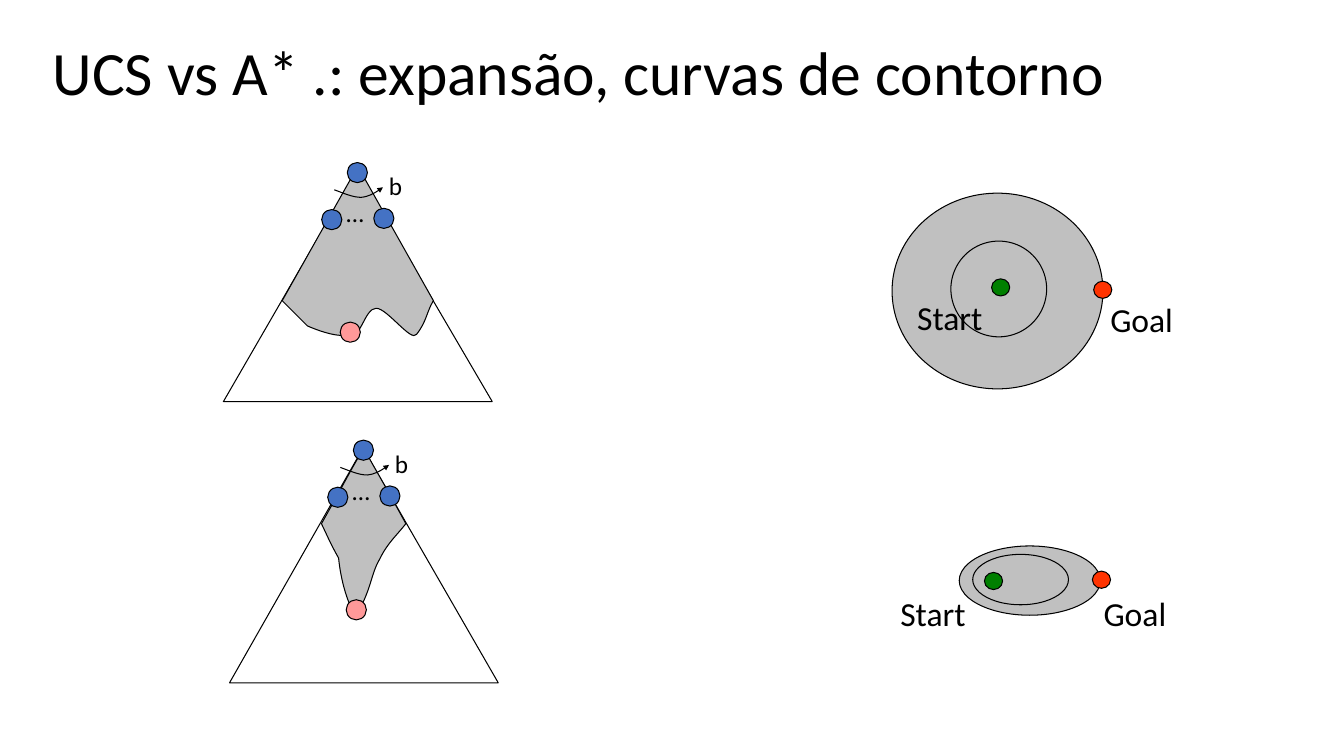
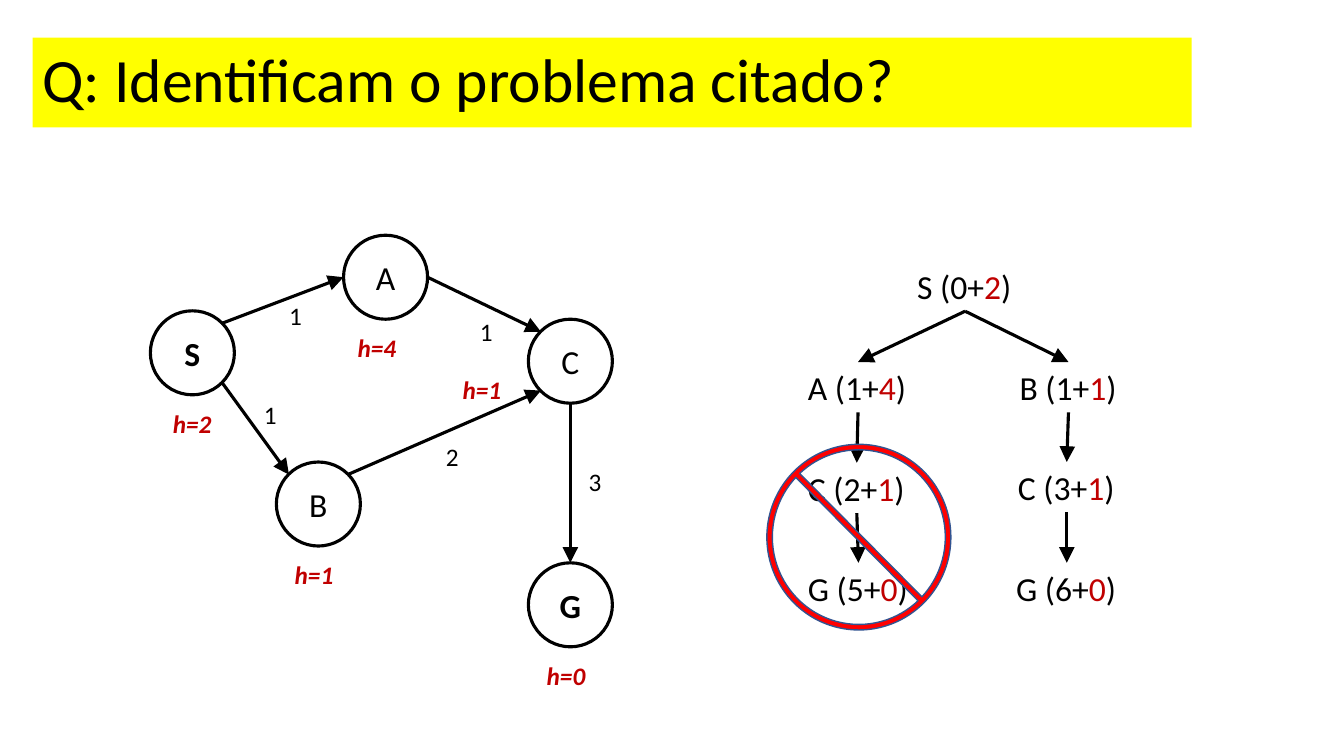
"""Builds two slides: search contours of UCS and A*, and a graph with its search tree."""
from lxml.etree import SubElement
from pptx import Presentation
from pptx.dml.color import RGBColor
from pptx.enum.shapes import MSO_CONNECTOR, MSO_SHAPE as Kind
from pptx.enum.text import MSO_ANCHOR as Anchor, PP_ALIGN as Align
from pptx.oxml.ns import qn
from pptx.util import Emu, Inches, Pt

BLACK = RGBColor(0x00, 0x00, 0x00)
WHITE = RGBColor(0xFF, 0xFF, 0xFF)
GRAY = RGBColor(0xC0, 0xC0, 0xC0)
BLUE = RGBColor(0x44, 0x72, 0xC4)
NAVY = RGBColor(0x32, 0x54, 0x91)
PINK = RGBColor(0xFF, 0x99, 0x99)
GREEN = RGBColor(0x00, 0x80, 0x00)
ORANGE = RGBColor(0xFF, 0x33, 0x00)
RED = RGBColor(0xFF, 0x00, 0x00)
DARK_RED = RGBColor(0xC0, 0x00, 0x00)
YELLOW = RGBColor(0xFF, 0xFF, 0x00)

FONT = "Calibri"
COLUMNS = 160

deck = Presentation()
deck.slide_width, deck.slide_height = Emu(12192000), Inches(7.5)
UNIT = deck.slide_width // COLUMNS
TITLE = {"size": 44, "spacing": 0.9, "anchor": Anchor.MIDDLE}


def paint(shape, fill=None, line=BLACK, width=0.75, arrow=None):
    if hasattr(shape, "fill"):
        if fill is None:
            shape.fill.background()
        else:
            shape.fill.solid()
            shape.fill.fore_color.rgb = fill
    shape.line.color.rgb = line
    shape.line.width = Pt(width)
    properties = shape._element.spPr
    if arrow:
        SubElement(properties.find(qn("a:ln")), qn("a:tailEnd"), type="triangle", w=arrow, len=arrow)
    if hasattr(shape, "shadow"):
        shape.shadow.inherit = False
    else:
        SubElement(properties, qn("a:effectLst"))


def write(page, text, at, kind=None, size=18, color=BLACK, accent="", bold=False, italic=False,
          align=Align.LEFT, anchor=Anchor.TOP, spacing=None, wrap=True, **style):
    place = [Emu(round(UNIT * value)) for value in at]
    if kind is None:
        box = page.shapes.add_textbox(*place)
    else:
        box = page.shapes.add_shape(kind, *place)
        paint(box, **style)
    if not text:
        return box
    frame = box.text_frame
    frame.word_wrap = wrap
    frame.vertical_anchor = anchor
    para = frame.paragraphs[0]
    para.alignment = align
    if spacing:
        para.line_spacing = spacing
    before, middle, after = text.rpartition(accent) if accent else (text, "", "")
    for words, tint in ((before, color), (middle, DARK_RED), (after, color)):
        if words:
            span = para.add_run()
            span.text = words
            span.font.name, span.font.size = FONT, Pt(size)
            span.font.bold, span.font.italic = bold, italic
            span.font.color.rgb = tint
    return box


blank = deck.slide_layouts[6]
page = deck.slides.add_slide(blank)
write(page, "UCS vs A* .: expansão, curvas de contorno", (5.08, 0.3, 138, 17.4), **TITLE)

DOT_WIDTH, DOT_HEIGHT = 2.16, 2.04
contours = [
    ((106.2, 23, 25.1, 23.3), (113.2, 28.7, 11.4, 11.4),
     (118.05, 33.2), (108, 34.7), (130.2, 33.48), (131, 35)),
    ((114.2, 65, 16.8, 8.25), (115.8, 66, 11.4, 6),
     (117.2, 68.15), (106, 70), (130.05, 68), (130.2, 70)),
]
for outer, inner, start, start_label, goal, goal_label in contours:
    write(page, "", outer, kind=Kind.OVAL, fill=GRAY)
    write(page, "", inner, kind=Kind.OVAL)
    for name, dot, label, color in (("Start", start, start_label, GREEN),
                                    ("Goal", goal, goal_label, ORANGE)):
        write(page, "", (*dot, DOT_WIDTH, DOT_HEIGHT), kind=Kind.OVAL, fill=color)
        write(page, name, (*label, 12, 6), size=24)

ucs_region = [
    [(42.6, 19.8)], [(33.6, 35.8)], [(36.6, 38.8)],
    [(36.6, 38.8), (40.1, 40.4), (41.6, 39.8)],
    [(43, 40.4), (43.4, 36.7), (44.8, 36.7)],
    [(46.1, 36.7), (49, 40.8), (49.6, 39.8)],
    [(50.8, 38.3), (50.8, 37.1), (51.6, 35.8)],
    [(42.6, 19.8)],
]
astar_region = [
    [(42.6, 20.3)],
    [(40.8, 23.3), (40.6, 23.9), (37.55, 29.3)],
    [(38.5, 31.3), (38.7, 31.8), (39.6, 33.4)],
    [(39.6, 33.4), (39.9, 37.4), (41.6, 40.3)],
    [(43.5, 37.3), (43.4, 35.3), (44.5, 33.5)],
    [(45.4, 31.6), (46.6, 30.6), (47.6, 29.3)],
    [(44.6, 23.8), (43.8, 22.6), (42.6, 20.3)],
]
branch_arc = [
    [(39.8, 22.6)],
    [(40.9, 23), (42, 23.5), (43, 23.5)],
    [(43.9, 23.4), (44.8, 22.9), (45.6, 22.3)],
]
NODE = 2.4
tree_nodes = [(38.3, 24.95, BLUE), (44.5, 24.8, BLUE), (40.5, 38.35, PINK), (41.35, 19.35, BLUE)]

for shift_x, shift_y, base, region in ((0, 0, 47.8, ucs_region), (0.72, 33.05, 48.25, astar_region)):
    triangle = [[(26.6, base)], [(58.6, base)], [(42.5, 20.3)], [(26.6, base)]]
    for outline, fill, arrow in ((triangle, None, None), (region, GRAY, None),
                                 (branch_arc, None, "sm")):
        spots = [(round(UNIT * (x + shift_x)), round(UNIT * (y + shift_y)))
                 for segment in outline for x, y in segment]
        builder = page.shapes.build_freeform(*spots[0])
        builder.add_line_segments(spots[1:], close=arrow is None)
        shape = builder.convert_to_shape()
        strokes = iter(shape._element.spPr.findall(".//" + qn("a:lnTo")))
        for segment in outline[1:]:
            curve, *controls = [next(strokes) for _ in segment]
            if controls:
                curve.tag = qn("a:cubicBezTo")
            for control in controls:
                curve.append(control[0])
                control.getparent().remove(control)
        paint(shape, fill=fill, arrow=arrow)
    for left, top, color in tree_nodes:
        write(page, "", (left + shift_x, top + shift_y, NODE, NODE), kind=Kind.OVAL, fill=color)
    for text, left, top, width in (("…", 40.05, 22.95, 3.6), ("b", 45.1, 19.7, 4)):
        write(page, text, (left + shift_x, top + shift_y, width, 4.8))

page = deck.slides.add_slide(blank)
banner = write(page, "Q: Identificam o problema citado?", (3.88, 4.48, 138, 10.7), **TITLE)
banner.fill.solid()
banner.fill.fore_color.rgb = YELLOW

STATE = 10
states = {"S": (17.9, 37), "A": (40.9, 28), "B": (32.9, 55), "C": (62.9, 38), "G": (62.9, 67)}
for name, corner in states.items():
    write(page, name, (*corner, STATE, STATE), kind=Kind.OVAL, fill=WHITE, width=2.25, size=24,
          bold=name in "SG", align=Align.CENTER, anchor=Anchor.MIDDLE)

NEAR, FAR = 0.15, 0.85
sites = {"top": (0.5, 0), "left": (0, 0.5), "bottom": (0.5, 1), "right": (1, 0.5),
         "top left": (NEAR, NEAR), "top right": (FAR, NEAR),
         "bottom left": (NEAR, FAR), "bottom right": (FAR, FAR)}
edges = [
    ("S", "top right", "A", "left", "1", 33.25, 35.2),
    ("S", "bottom right", "B", "top left", "1", 30.25, 47),
    ("B", "top right", "C", "bottom left", "2", 51.9, 52),
    ("A", "right", "C", "top left", "1", 55.95, 37.05),
    ("C", "bottom", "G", "top", "3", 68.9, 54.95),
]
for source, leave, target, enter, cost, left, top in edges:
    ends = [round(UNIT * (corner + STATE * share))
            for name, site in ((source, leave), (target, enter))
            for corner, share in zip(states[name], sites[site])]
    edge = page.shapes.add_connector(MSO_CONNECTOR.STRAIGHT, *ends)
    paint(edge, width=2.25, arrow="lg")
    write(page, cost, (left, top, 4.1, 4.8), wrap=False)

for text, left, top in (("h=2", 19.4, 48), ("h=1", 33.9, 66), ("h=4", 41.4, 39),
                        ("h=1", 53.9, 43.95), ("h=0", 63.9, 78)):
    write(page, text, (left, top, 7.8, 4.8), color=DARK_RED, bold=True, italic=True, wrap=False)

steps = [
    ("S (0+2)", "2", 108, 31.05, 13.8),
    ("A (1+4)", "4", 95, 43.1, 14.3),
    ("B (1+1)", "1", 120.2, 43.1, 14),
    ("C (2+1)", "1", 95, 55.1, 14),
    ("C (3+1)", "1", 120, 55, 14),
    ("G (5+0)", "0", 95, 67, 14.4),
    ("G (6+0)", "0", 119.8, 67, 14.4),
]
boxes = [write(page, text, (left, top, width, 6), size=24, accent=heuristic, wrap=False)
         for text, heuristic, left, top, width in steps]
for parent, child in ((0, 1), (0, 2), (1, 3), (2, 4), (3, 5), (4, 6)):
    link = page.shapes.add_connector(MSO_CONNECTOR.STRAIGHT, 0, 0, 0, 0)
    link.begin_connect(boxes[parent], 2)
    link.end_connect(boxes[child], 0)
    paint(link, width=2.25, arrow="lg")

ban = write(page, "", (91.3, 52.9, 21.9, 22.1), kind=Kind.NO_SYMBOL, fill=RED, line=NAVY, width=1)
ban.adjustments[0] = 0.03

deck.save("out.pptx")
